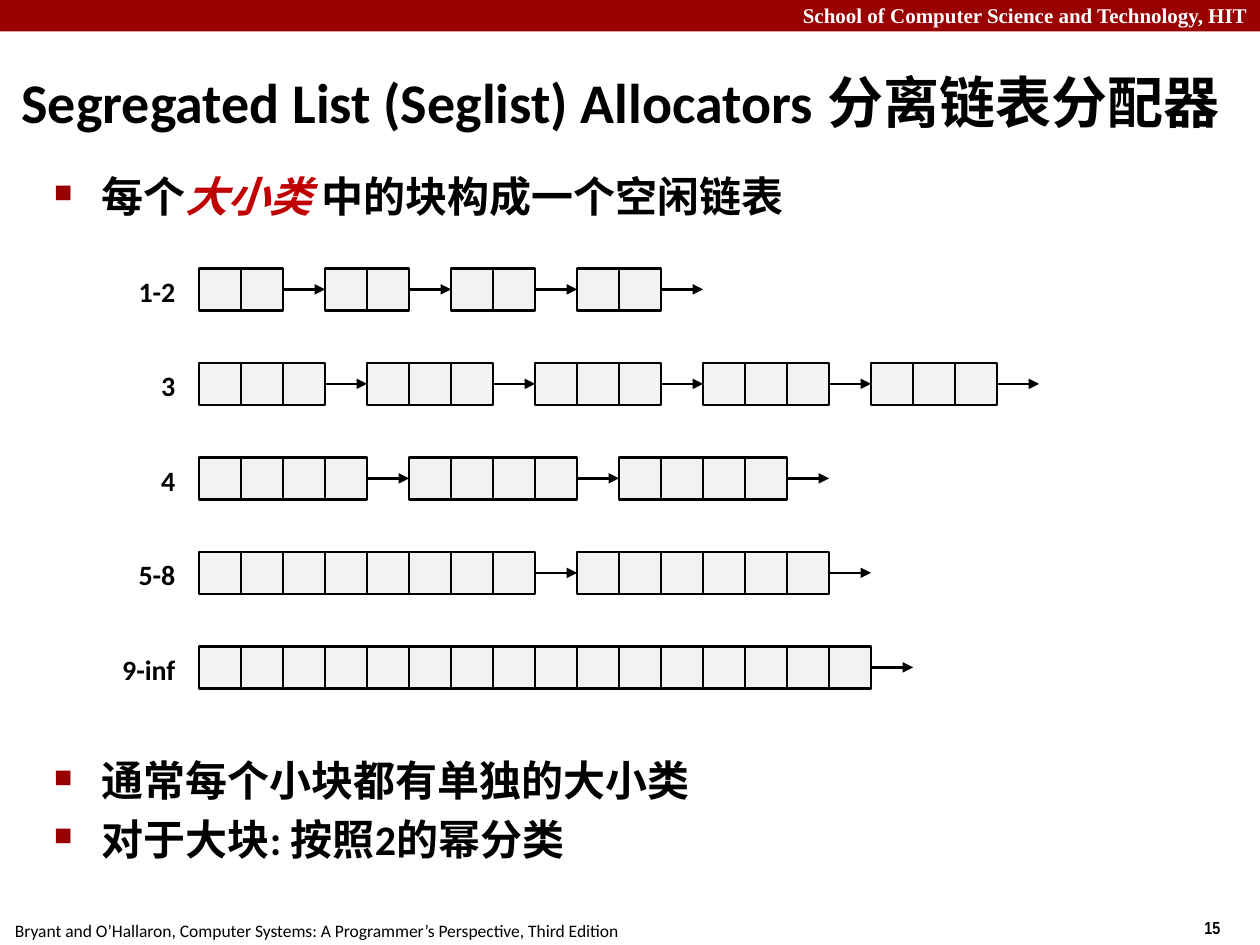
from itertools import zip_longest

from lxml import etree
from pptx import Presentation
from pptx.dml.color import RGBColor
from pptx.enum.shapes import MSO_CONNECTOR, MSO_SHAPE
from pptx.enum.text import MSO_ANCHOR, MSO_AUTO_SIZE, PP_ALIGN
from pptx.oxml.ns import qn
from pptx.util import Inches, Pt

RECTANGLE = MSO_SHAPE.RECTANGLE
STRAIGHT = MSO_CONNECTOR.STRAIGHT
LEFT, RIGHT = PP_ALIGN.LEFT, PP_ALIGN.RIGHT
MIDDLE = MSO_ANCHOR.MIDDLE
NO_AUTOFIT = MSO_AUTO_SIZE.NONE
LEFT_SIDE, RIGHT_SIDE = 1, 3

BLACK = RGBColor(0x00, 0x00, 0x00)
WHITE = RGBColor(0xFF, 0xFF, 0xFF)
CRIMSON = RGBColor(0x99, 0x00, 0x00)
EMPHASIS = RGBColor(0xC0, 0x00, 0x00)
CELL_GREY = RGBColor(0xF2, 0xF2, 0xF2)

CELL = Inches(1) // 3
GRID_LEFT = Inches(1.58)
GRID_TOP = Inches(2.13)
ROW_STEP = Inches(0.75)
LABEL_RIGHT = Inches(1.49)
LABEL_WIDTH = Inches(0.7)
LABEL_HEIGHT = Inches(0.37)

SIZE_CLASSES = [
    ("1-2", [2] * 4),
    ("3", [3] * 5),
    ("4", [4] * 3),
    ("5-8", [8, 6]),
    ("9-inf", [16]),
]


def add_run(paragraph, text, size, color=BLACK, font="Calibri", bold=True, italic=False):
    run = paragraph.add_run()
    run.text = text
    run.font.size = Pt(size)
    run.font.name = font
    run.font.bold = bold
    run.font.italic = italic
    run.font.color.rgb = color


def add_text_box(slide, left, top, width, height, wrap=True):
    box = slide.shapes.add_textbox(left, top, width, height)
    box.text_frame.word_wrap = wrap
    return box.text_frame


def add_caption(slide, bounds, text, size, align=LEFT, wrap=True, **style):
    paragraph = add_text_box(slide, *bounds, wrap=wrap).paragraphs[0]
    paragraph.alignment = align
    add_run(paragraph, text, size, **style)


def add_frame(slide, slide_width):
    banner = slide.shapes.add_shape(RECTANGLE, 0, 0, slide_width, Inches(0.25))
    banner.shadow.inherit = False
    banner.fill.solid()
    banner.fill.fore_color.rgb = CRIMSON
    banner.line.fill.background()
    add_caption(slide, (0, Inches(-0.03), slide_width, Inches(0.3)),
                "School of Computer Science and Technology, HIT", 12,
                align=RIGHT, color=WHITE, font="Times New Roman")
    add_caption(slide, (Inches(0.02), Inches(7.25), Inches(5.01), Inches(0.27)),
                "Bryant and O’Hallaron, Computer Systems: "
                "A Programmer’s Perspective, Third Edition", 10,
                wrap=False, bold=False)
    add_caption(slide, (Inches(9.46), Inches(7.23), Inches(0.75), Inches(0.27)),
                "15", 10, font="Arial Narrow")


def set_title(slide, text):
    title = slide.shapes.title
    title.left, title.top = Inches(0.07), Inches(0.53)
    title.width, title.height = Inches(9.88), Inches(0.63)
    frame = title.text_frame
    frame.auto_size = NO_AUTOFIT
    frame.vertical_anchor = MIDDLE
    paragraph = frame.paragraphs[0]
    paragraph.alignment = LEFT
    paragraph.line_spacing = 0.87
    add_run(paragraph, text, 32)


def set_bullet(paragraph):
    properties = paragraph._p.get_or_add_pPr()
    properties.set("marL", str(Inches(0.38)))
    properties.set("indent", str(-Inches(0.38)))
    color = etree.SubElement(properties, qn("a:buClr"))
    etree.SubElement(color, qn("a:srgbClr"), val=str(CRIMSON))
    etree.SubElement(properties, qn("a:buSzPct"), val="60000")
    etree.SubElement(properties, qn("a:buChar"), char="■")


def add_bullets(slide, top, height, points):
    frame = add_text_box(slide, Inches(0.33), top, Inches(9.09), height)
    for index, parts in enumerate(points):
        paragraph = frame.add_paragraph() if index else frame.paragraphs[0]
        paragraph.line_spacing = 0.95
        paragraph.space_before = Pt(6)
        set_bullet(paragraph)
        for text, emphasised in parts:
            add_run(paragraph, text, 24, color=EMPHASIS if emphasised else BLACK,
                    italic=emphasised)


def add_cell(slide, column, top):
    cell = slide.shapes.add_shape(RECTANGLE, GRID_LEFT + column * CELL, top, CELL, CELL)
    cell.shadow.inherit = False
    cell.fill.solid()
    cell.fill.fore_color.rgb = CELL_GREY
    cell.line.color.rgb = BLACK
    cell.line.width = Pt(1.5)
    return cell


def add_link(slide, source, target):
    start = source.left + CELL
    middle = source.top + CELL // 2
    link = slide.shapes.add_connector(STRAIGHT, start, middle, start + CELL, middle)
    link.begin_connect(source, RIGHT_SIDE)
    if target is not None:
        link.end_connect(target, LEFT_SIDE)
    link.line.color.rgb = BLACK
    link.line.width = Pt(1.5)
    etree.SubElement(link.line._get_or_add_ln(), qn("a:tailEnd"), type="triangle")
    etree.SubElement(link._element.spPr, qn("a:effectLst"))


def add_free_list(slide, row, label, block_sizes):
    top = GRID_TOP + row * ROW_STEP
    add_caption(slide, (LABEL_RIGHT - LABEL_WIDTH, top, LABEL_WIDTH, LABEL_HEIGHT),
                label, 16, align=RIGHT)
    blocks = []
    column = 0
    for size in block_sizes:
        blocks.append([add_cell(slide, column + offset, top) for offset in range(size)])
        column += size + 1
    for block, following in zip_longest(blocks, blocks[1:]):
        add_link(slide, block[-1], following[0] if following else None)


def main():
    deck = Presentation()
    deck.slide_width, deck.slide_height = Inches(10), Inches(7.5)
    slide = deck.slides.add_slide(deck.slide_layouts[5])
    add_frame(slide, deck.slide_width)
    set_title(slide, "Segregated List (Seglist) Allocators 分离链表分配器")
    add_bullets(slide, Inches(1.33), Inches(0.6), [
        [("每个", False), ("大小类 ", True), ("中的块构成一个空闲链表", False)],
    ])
    for row, (label, block_sizes) in enumerate(SIZE_CLASSES):
        add_free_list(slide, row, label, block_sizes)
    add_bullets(slide, Inches(5.97), Inches(1.1), [
        [("通常每个小块都有单独的大小类", False)],
        [("对于大块: 按照2的幂分类", False)],
    ])
    deck.save("out.pptx")


if __name__ == "__main__":
    main()
